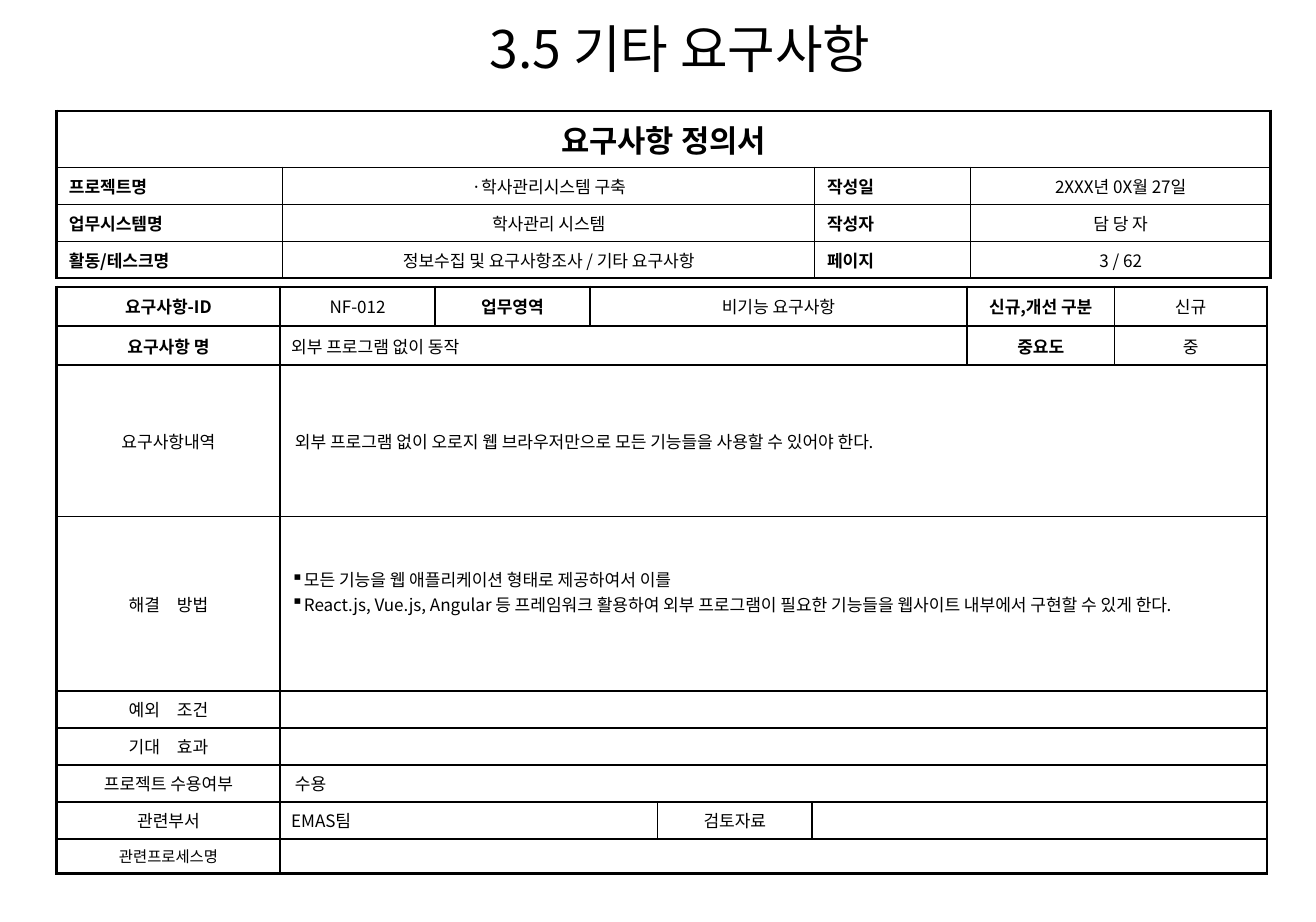
"""Build the requirement definition sheet as one slide with two bordered tables."""
from dataclasses import dataclass

from lxml import etree
from pptx import Presentation
from pptx.dml.color import RGBColor
from pptx.enum.text import MSO_ANCHOR, PP_ALIGN
from pptx.oxml.ns import qn
from pptx.util import Emu, Inches, Pt

CENTER, LEFT, JUSTIFY = PP_ALIGN.CENTER, PP_ALIGN.LEFT, PP_ALIGN.JUSTIFY
TOP, MIDDLE = MSO_ANCHOR.TOP, MSO_ANCHOR.MIDDLE


@dataclass(frozen=True)
class Theme:
    ink: str = "000000"
    font: str = "Noto Sans CJK KR"
    title: float = 30.3
    heading: float = 18
    body: float = 10
    small: float = 9
    thin: float = 1
    thick: float = 1.5


THEME = Theme()


@dataclass(frozen=True)
class Entry:
    text: str = ""
    span: int = 1
    bold: bool = False
    align: PP_ALIGN = CENTER
    size: float = THEME.body
    anchor: MSO_ANCHOR = MIDDLE
    bullet: str = ""
    indent: float = 0
    lift: float = 0


@dataclass(frozen=True)
class Sheet:
    left: float
    top: float
    columns: tuple[float, ...]
    rows: tuple[float, ...]
    inset: float
    thick_rules: frozenset[int]
    entries: list[list[Entry]]


def project_row(label: str, value: str, side_label: str, side_value: str) -> list[Entry]:
    """Return a row of two label and value pairs."""
    pairs = ((label, value), (side_label, side_value))
    return [entry for name, content in pairs for entry in (
        Entry(name, bold=True, align=JUSTIFY, anchor=TOP), Entry(content, anchor=TOP))]


PROJECT = Sheet(
    left=0.043, top=0.12, columns=(1.84, 4.33, 1.27, 2.44),
    rows=(0.43, 0.26, 0.26, 0.26), inset=0.1, thick_rules=frozenset({0, 4}),
    entries=[
        [Entry("요구사항 정의서", 4, True, size=THEME.heading)],
        project_row("프로젝트명", "·학사관리시스템 구축", "작성일", "2XXX년 0X월 27일"),
        project_row("업무시스템명", "학사관리 시스템", "작성자", "담 당 자"),
        project_row("활동/테스크명", "정보수집 및 요구사항조사 / 기타 요구사항", "페이지", "3 / 62"),
    ])

SOLUTION = (
    "모든 기능을 웹 애플리케이션 형태로 제공하여서 이를\n"
    "React.js, Vue.js, Angular 등 프레임워크 활용하여 외부 프로그램이 필요한 기능들을 "
    "웹사이트 내부에서 구현할 수 있게 한다.")

REQUIREMENT = Sheet(
    left=0.043, top=0.311, columns=(1.82, 1.26, 1.26, 0.55, 1.26, 1.26, 1.2, 1.24),
    rows=(0.32, 0.32, 1.23, 1.42) + (0.25,) * 5, inset=0.09,
    thick_rules=frozenset({0, 1, 2, 9}),
    entries=[
        [Entry("요구사항-ID", bold=True), Entry("NF-012"), Entry("업무영역", bold=True),
         Entry("비기능 요구사항", 3), Entry("신규,개선 구분", bold=True), Entry("신규")],
        [Entry("요구사항 명", bold=True), Entry("외부 프로그램 없이 동작", 5, align=LEFT),
         Entry("중요도", bold=True), Entry("중")],
        [Entry("요구사항내역"),
         Entry("외부 프로그램 없이 오로지 웹 브라우저만으로 모든 기능들을 사용할 수 있어야 한다.",
               7, align=LEFT, indent=0.03)],
        [Entry("해결　방법"), Entry(SOLUTION, 7, align=LEFT, bullet="▪", lift=0.2)],
        [Entry("예외　조건"), Entry(span=7)],
        [Entry("기대　효과"), Entry(span=7)],
        [Entry("프로젝트 수용여부"), Entry("수용", 7, align=LEFT, indent=0.03)],
        [Entry("관련부서"), Entry("EMAS팀", 3, align=LEFT), Entry("검토자료"), Entry(span=3)],
        [Entry("관련프로세스명", size=THEME.small), Entry(span=7)],
    ])


def apply(target: object, values: dict) -> None:
    """Set each named attribute on the target."""
    for name, value in values.items():
        setattr(target, name, value)


def write(para, text: str, size: float, bold: bool, align: PP_ALIGN) -> None:
    """Write one styled span into a paragraph."""
    para.alignment = align
    if not text:
        etree.SubElement(para._p, qn("a:endParaRPr"), sz=str(int(size * 100)))
        return
    span = para.add_run()
    span.text = text
    apply(span.font, {"name": THEME.font, "size": Pt(size), "bold": bold})
    span.font.color.rgb = RGBColor.from_string(THEME.ink)
    latin = span.font._element.find(qn("a:latin"))
    latin.addnext(etree.Element(qn("a:ea"), typeface=THEME.font))


def add_bullet(para, mark: str) -> None:
    """Put a bullet mark directly before the paragraph."""
    properties = para._p.get_or_add_pPr()
    properties.set("marL", "0")
    properties.set("indent", "0")
    etree.SubElement(properties, qn("a:buChar"), char=mark)


def add_borders(cell, weights: dict[str, float]) -> None:
    """Draw the cell's left, right, top and bottom lines."""
    properties = cell._tc.get_or_add_tcPr()
    for index, (side, weight) in enumerate(weights.items()):
        line = etree.Element(qn(f"a:ln{side}"), w=str(Pt(weight)))
        fill = etree.SubElement(line, qn("a:solidFill"))
        etree.SubElement(fill, qn("a:srgbClr"), val=THEME.ink)
        properties.insert(index, line)


def fill_cell(cell, entry: Entry, inset: float) -> None:
    """Lay out a cell and write its entry."""
    cell.fill.background()
    apply(cell, {
        "vertical_anchor": entry.anchor,
        "margin_left": Inches(inset + entry.indent), "margin_right": Inches(inset),
        "margin_top": Inches(0.05), "margin_bottom": Inches(0.05 + entry.lift)})
    for index, text in enumerate(entry.text.split("\n")):
        frame = cell.text_frame
        para = frame.add_paragraph() if index else frame.paragraphs[0]
        write(para, text, entry.size, entry.bold, entry.align)
        if entry.bullet:
            add_bullet(para, entry.bullet)


def add_sheet(deck, page, sheet: Sheet) -> None:
    """Add a sheet as a table with thick outer lines."""
    frame = page.shapes.add_table(
        len(sheet.rows), len(sheet.columns),
        Emu(int(deck.slide_width * sheet.left)), Emu(int(deck.slide_height * sheet.top)),
        Inches(sum(sheet.columns)), Inches(sum(sheet.rows)))
    table = frame.table
    apply(table, {"first_row": False, "horz_banding": False})
    for column, width in zip(table.columns, sheet.columns):
        column.width = Inches(width)
    for row, height in zip(table.rows, sheet.rows):
        row.height = Inches(height)
    for row_index, entries in enumerate(sheet.entries):
        start = 0
        for entry in entries:
            end = start + entry.span
            cell = table.cell(row_index, start)
            if entry.span > 1:
                cell.merge(table.cell(row_index, end - 1))
            fill_cell(cell, entry, sheet.inset)
            thick = {"L": start == 0, "R": end == len(sheet.columns),
                     "T": row_index in sheet.thick_rules,
                     "B": row_index + 1 in sheet.thick_rules}
            add_borders(cell, {side: THEME.thick if heavy else THEME.thin
                               for side, heavy in thick.items()})
            start = end


def add_title(deck, page, text: str) -> None:
    """Add the centred slide title."""
    wide, high = deck.slide_width, deck.slide_height
    box = page.shapes.add_textbox(*(Emu(int(length)) for length in (
        wide * 0.07, high * 0.019, wide * 0.894, high * 0.192)))
    box.text_frame.word_wrap = True
    para = box.text_frame.paragraphs[0]
    para.line_spacing = 0.9
    write(para, text, THEME.title, False, CENTER)


def main() -> None:
    """Build and save the deck."""
    deck = Presentation()
    apply(deck, {"slide_width": Inches(10.71), "slide_height": Inches(7.5)})
    page = deck.slides.add_slide(deck.slide_layouts[6])
    for sheet in (PROJECT, REQUIREMENT):
        add_sheet(deck, page, sheet)
    add_title(deck, page, "3.5 기타 요구사항")
    deck.save("out.pptx")


if __name__ == "__main__":
    main()
